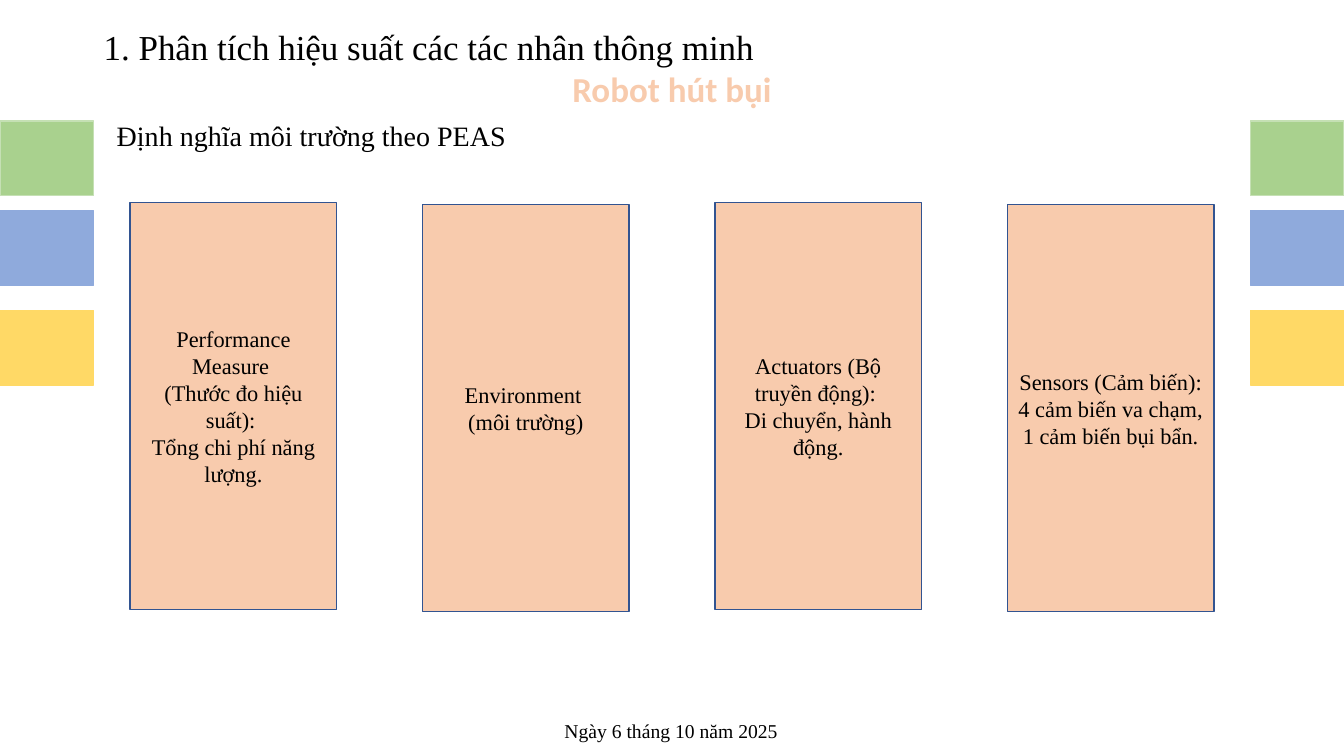
"""Build the PEAS slide for the vacuum robot agent."""
import pptx
import pptx.dml.color
import pptx.enum.shapes
import pptx.enum.text
import pptx.oxml
import pptx.util

Inches, Pt = pptx.util.Inches, pptx.util.Pt
CENTER = pptx.enum.text.PP_ALIGN.CENTER
LEFT = pptx.enum.text.PP_ALIGN.LEFT
SERIF = "Times New Roman"
BLACK, PEACH, NAVY, ORANGE = "000000", "F8CBAD", "325491", "ED7D31"
WIDTH, HEIGHT = 13.33, 7.5

DATE = ("Ngày 6 tháng 10 năm 2025", (5.5, 7.08, 2.33, 0.34), 14, False)
HEADING = ("1. Phân tích hiệu suất các tác nhân thông minh", (0.93, 0.2, 6.74, 0.52), 25, False)
SUBHEADING = ("Định nghĩa môi trường theo PEAS", (1.06, 1.13, 6.67, 0.44), 20, True)
ROBOT, ROBOT_AT = "Robot hút bụi", (4.25, 0.62, 4.83, 0.52)

SIDE_BLOCKS = [
    (1.2, "A9D18E", "C5E0B4"),
    (2.09, "8FAADC", "8FAADC"),
    (3.08, "FFD966", "FFD966"),
]
BLOCK_WIDTH, BLOCK_HEIGHT = 0.93, 0.74

PEAS_CARDS = [
    "Performance Measure \n(Thước đo hiệu suất): \nTổng chi phí năng lượng.",
    "Environment \n(môi trường)",
    "Actuators (Bộ truyền động): \nDi chuyển, hành động.",
    "Sensors (Cảm biến): 4 cảm biến va chạm, 1 cảm biến bụi bẩn.",
]
CARD_LEFT, CARD_TOP, CARD_STEP, CARD_DROP = 1.29, 2.01, 2.9, 0.02
CARD_WIDTH, CARD_HEIGHT = 2.05, 4.04

deck = pptx.Presentation()
deck.slide_width, deck.slide_height = Inches(WIDTH), Inches(HEIGHT)
page = deck.slides.add_slide(deck.slide_layouts[6])


def rgb(code):
    return pptx.dml.color.RGBColor.from_string(code)


def write(box, text, size, align=LEFT, face=SERIF, color=BLACK, bold=False):
    para = box.text_frame.paragraphs[0]
    para.text = text
    para.alignment = align
    para.font.name, para.font.size, para.font.bold = face, Pt(size), bold
    para.font.color.rgb = rgb(color)
    return para


def add_text(text, at, size, wrap, **style):
    box = page.shapes.add_textbox(*map(Inches, at))
    box.text_frame.word_wrap = wrap
    return write(box, text, size, **style)


def add_block(at, fill, line):
    block = page.shapes.add_shape(pptx.enum.shapes.MSO_SHAPE.RECTANGLE, *map(Inches, at))
    block.shadow.inherit = False
    block.fill.solid()
    block.fill.fore_color.rgb = rgb(fill)
    block.line.color.rgb = rgb(line)
    block.line.width = Pt(1)
    return block


def outline_text(para, color, width):
    outline = pptx.oxml.parse_xml(
        '<a:ln xmlns:a="http://schemas.openxmlformats.org/drawingml/2006/main"'
        f' w="{Pt(width)}"><a:solidFill><a:srgbClr val="{color}"/></a:solidFill></a:ln>'
    )
    for span in para.runs:
        span._r.get_or_add_rPr().insert(0, outline)


add_text(*DATE)
for top, fill, line in SIDE_BLOCKS:
    for left in (0, WIDTH - BLOCK_WIDTH):
        add_block((left, top, BLOCK_WIDTH, BLOCK_HEIGHT), fill, line)

add_text(*HEADING)
robot = add_text(ROBOT, ROBOT_AT, 25, True, align=CENTER, face="Calibri", color=PEACH, bold=True)
outline_text(robot, ORANGE, 1.75)
add_text(*SUBHEADING)

for index, text in enumerate(PEAS_CARDS):
    left = CARD_LEFT + index * CARD_STEP
    top = CARD_TOP + index % 2 * CARD_DROP
    card = add_block((left, top, CARD_WIDTH, CARD_HEIGHT), PEACH, NAVY)
    card.text_frame.word_wrap = True
    card.text_frame.vertical_anchor = pptx.enum.text.MSO_ANCHOR.MIDDLE
    write(card, text, 16, align=CENTER)

deck.save("out.pptx")
